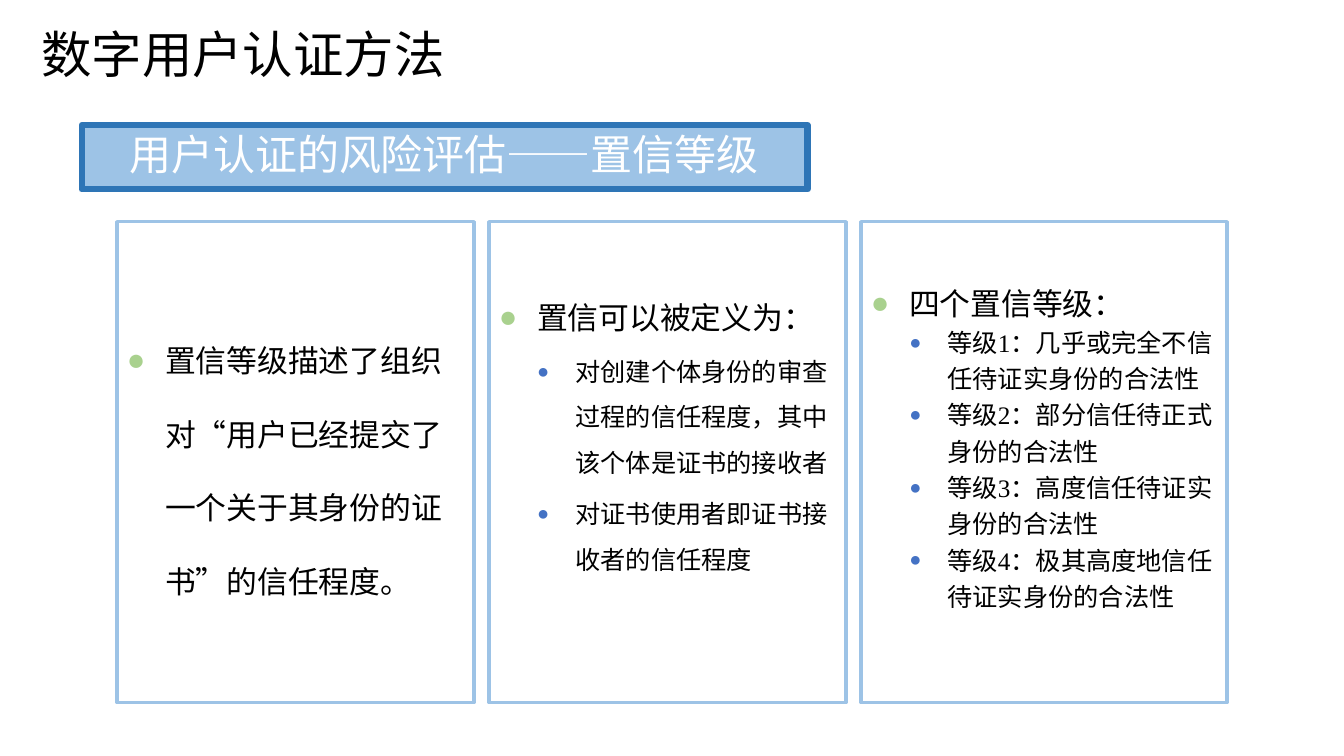
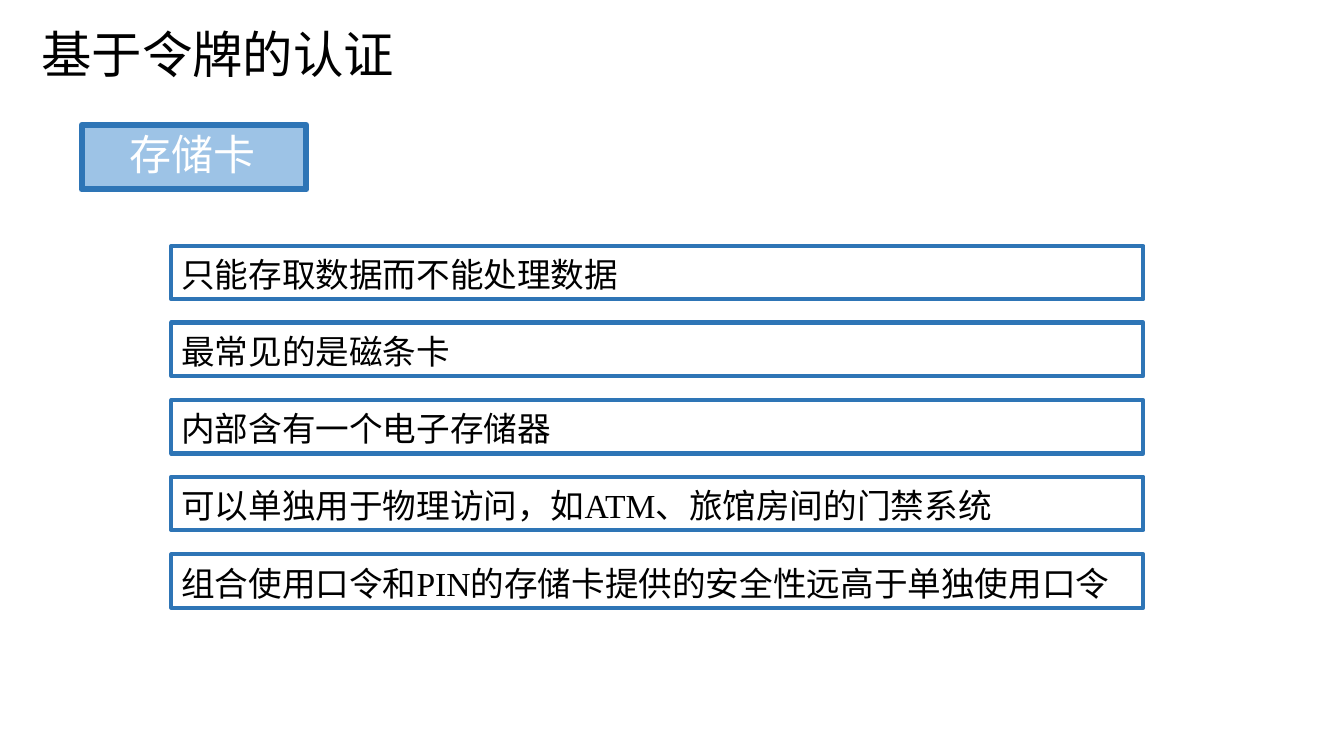
from lxml import etree
from pptx import Presentation
from pptx.dml.color import RGBColor
from pptx.enum.shapes import MSO_SHAPE
from pptx.enum.text import MSO_ANCHOR, MSO_AUTO_SIZE, PP_ALIGN
from pptx.oxml.ns import qn
from pptx.util import Pt

RECT = MSO_SHAPE.RECTANGLE
TOP, MIDDLE = MSO_ANCHOR.TOP, MSO_ANCHOR.MIDDLE
LEFT = PP_ALIGN.LEFT
NO_FIT = MSO_AUTO_SIZE.NONE

BLACK = RGBColor(0x00, 0x00, 0x00)
WHITE = RGBColor(0xFF, 0xFF, 0xFF)
LIGHT_BLUE = RGBColor(0x9D, 0xC3, 0xE6)
DARK_BLUE = RGBColor(0x2E, 0x75, 0xB6)
GREEN = RGBColor(0xA9, 0xD1, 0x8E)
BULLET_BLUE = RGBColor(0x44, 0x72, 0xC4)
LATIN_FONT = "Times New Roman"
CJK_FONT = "Noto Sans CJK SC"

EMU_PER_PX = 9144
SLIDE_W, SLIDE_H = 1333, 750
TITLE_BOX = (30, 0, 591, 106)
BANNER_X, BANNER_Y, BANNER_H = 81, 124, 64
CARD_X, CARD_Y, CARD_H, CARD_GAP = 116, 220, 477, 15
ROW_X, ROW_Y, ROW_W, ROW_H = 170, 244, 964, 53
ROWS_BOTTOM = 603
INDENT = 38

HEADING = {"size": 22, "level": 0, "bullet": GREEN, "percent": 100}
DETAIL = {"size": 18, "level": 1, "bullet": BULLET_BLUE, "percent": 80}

CARDS = [
    (354, 82, [
        (HEADING, 2.0, 0, "置信等级描述了组织对“用户已经提交了一个关于其身份的证书”的信任程度。"),
    ]),
    (354, 76, [
        (HEADING, 1.0, 0, "置信可以被定义为："),
        (DETAIL, 1.5, 4.3, "对创建个体身份的审查过程的信任程度，其中该个体是证书的接收者"),
        (DETAIL, 1.5, 4.3, "对证书使用者即证书接收者的信任程度"),
    ]),
    (363, 62, [
        (HEADING, 1.0, 0, "四个置信等级："),
        (DETAIL, 1.2, 0, "等级1：几乎或完全不信任待证实身份的合法性"),
        (DETAIL, 1.2, 0, "等级2：部分信任待正式身份的合法性"),
        (DETAIL, 1.2, 0, "等级3：高度信任待证实身份的合法性"),
        (DETAIL, 1.2, 0, "等级4：极其高度地信任待证实身份的合法性"),
    ]),
]

ROWS = [
    "只能存取数据而不能处理数据",
    "最常见的是磁条卡",
    "内部含有一个电子存储器",
    "可以单独用于物理访问，如ATM、旅馆房间的门禁系统",
    "组合使用口令和PIN的存储卡提供的安全性远高于单独使用口令",
]


def px(n):
    return n * EMU_PER_PX


def set_all(target, values):
    for name, value in values.items():
        setattr(target, name, value)


def set_frame(tf, insets, anchor):
    sides = ("margin_left", "margin_top", "margin_right", "margin_bottom")
    set_all(tf, dict(zip(sides, map(px, insets))))
    set_all(tf, {"word_wrap": True, "auto_size": NO_FIT, "vertical_anchor": anchor})


def write(p, text, size, color=BLACK, spacing=1.0, before=0):
    set_all(p, {"alignment": LEFT, "line_spacing": spacing, "space_before": Pt(before)})
    r = p.add_run()
    r.text = text
    set_all(r.font, {"name": LATIN_FONT, "size": Pt(size)})
    r.font.color.rgb = color
    etree.SubElement(r.font._element, qn("a:ea"), typeface=CJK_FONT)


def add_bullet(p, level, color, percent):
    p.level = level
    pPr = p._p.get_or_add_pPr()
    pPr.set("marL", str(px(INDENT * (level + 1))))
    pPr.set("indent", str(px(-INDENT)))
    clr = etree.SubElement(pPr, qn("a:buClr"))
    etree.SubElement(clr, qn("a:srgbClr"), val=str(color))
    etree.SubElement(pPr, qn("a:buSzPct"), val=str(percent * 1000))
    etree.SubElement(pPr, qn("a:buFont"), typeface="Arial")
    etree.SubElement(pPr, qn("a:buChar"), char="●")


def add_box(s, box, line, width, insets, anchor=TOP, fill=None):
    sp = s.shapes.add_shape(RECT, *map(px, box))
    sp.shadow.inherit = False
    if fill is None:
        sp.fill.background()
    else:
        sp.fill.solid()
        sp.fill.fore_color.rgb = fill
    sp.line.color.rgb = line
    sp.line.width = Pt(width)
    set_frame(sp.text_frame, insets, anchor)
    return sp.text_frame


def add_slide(prs, title, banner, banner_w):
    s = prs.slides.add_slide(prs.slide_layouts[5])
    sp = s.shapes.title
    set_all(sp, dict(zip(("left", "top", "width", "height"), map(px, TITLE_BOX))))
    set_frame(sp.text_frame, (11, 6, 11, 6), MIDDLE)
    write(sp.text_frame.paragraphs[0], title, 36)
    tf = add_box(s, (BANNER_X, BANNER_Y, banner_w, BANNER_H), DARK_BLUE, 4.33,
                 (47, 0, 47, 0), MIDDLE, LIGHT_BLUE)
    write(tf.paragraphs[0], banner, 30, WHITE, 0.9)
    return s


def add_cards(s):
    x = CARD_X
    for width, top_inset, items in CARDS:
        tf = add_box(s, (x, CARD_Y, width, CARD_H), LIGHT_BLUE, 2.5, (10, top_inset, 10, 5))
        for i, (style, spacing, before, text) in enumerate(items):
            p = tf.add_paragraph() if i else tf.paragraphs[0]
            add_bullet(p, style["level"], style["bullet"], style["percent"])
            write(p, text, style["size"], spacing=spacing, before=before)
        x += width + CARD_GAP


def add_rows(s):
    travel = ROWS_BOTTOM - ROW_H - ROW_Y
    for i, text in enumerate(ROWS):
        y = ROW_Y + travel * i // (len(ROWS) - 1)
        tf = add_box(s, (ROW_X, y, ROW_W, ROW_H), DARK_BLUE, 3, (10, 8, 10, 5))
        write(tf.paragraphs[0], text, 24)


def main():
    prs = Presentation()
    set_all(prs, {"slide_width": px(SLIDE_W), "slide_height": px(SLIDE_H)})
    add_cards(add_slide(prs, "数字用户认证方法", "用户认证的风险评估——置信等级", 720))
    add_rows(add_slide(prs, "基于令牌的认证", "存储卡", 223))
    prs.save("out.pptx")


if __name__ == "__main__":
    main()
